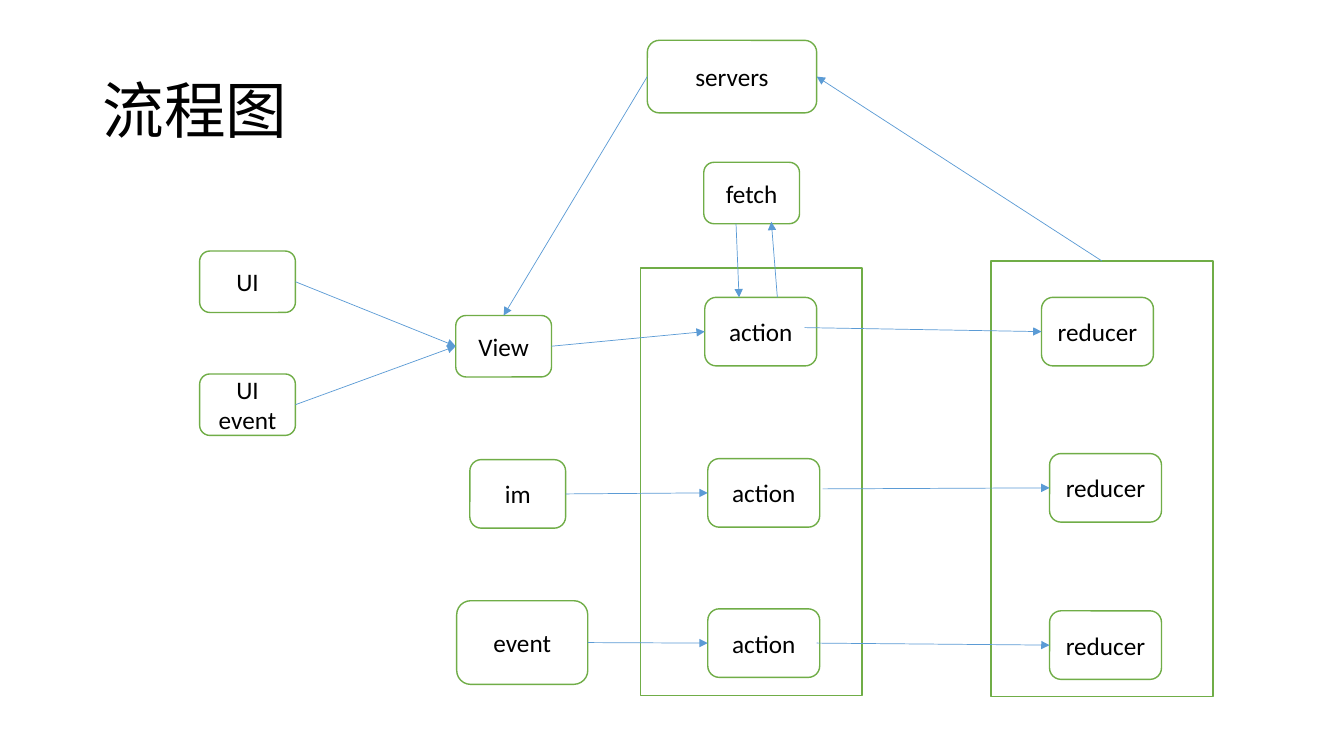
from dataclasses import dataclass

from lxml.etree import SubElement
from pptx import Presentation
from pptx.dml.color import RGBColor
from pptx.enum.shapes import MSO_CONNECTOR, MSO_SHAPE
from pptx.enum.text import MSO_ANCHOR, PP_ALIGN
from pptx.oxml.ns import qn
from pptx.util import Emu, Pt


@dataclass(frozen=True)
class Theme:
    font: str = "Calibri"
    ink: RGBColor = RGBColor(0x00, 0x00, 0x00)
    paper: RGBColor = RGBColor(0xFF, 0xFF, 0xFF)
    outline: RGBColor = RGBColor(0x70, 0xAD, 0x47)
    arrow: RGBColor = RGBColor(0x5B, 0x9B, 0xD5)
    title_size: Pt = Pt(44)
    label_size: Pt = Pt(18)
    outline_width: Pt = Pt(1)
    arrow_width: Pt = Pt(0.5)


theme = Theme()
PX = 9144
TOP, LEFT, BOTTOM, RIGHT = range(4)


def px(*lengths):
    return [Emu(length * PX) for length in lengths]


def add_span(para, text, size):
    span = para.add_run()
    span.text = text
    span.font.name = theme.font
    span.font.size = size
    span.font.color.rgb = theme.ink


deck = Presentation()
deck.slide_width, deck.slide_height = px(1333, 750)
page = deck.slides.add_slide(deck.slide_layouts[6])

title = page.shapes.add_textbox(*px(92, 40, 1150, 145))
title.text_frame.word_wrap = True
title.text_frame.vertical_anchor = MSO_ANCHOR.MIDDLE
title_para = title.text_frame.paragraphs[0]
title_para.line_spacing = 0.9
add_span(title_para, "流程图", theme.title_size)

boxes = [
    ("action frame", [], 635, 266, 220, 424),
    ("reducer frame", [], 983, 259, 220, 432),
    ("ui", ["UI"], 198, 249, 95, 61),
    ("ui event", ["UI", "event"], 198, 371, 95, 61),
    ("view", ["View"], 452, 313, 95, 61),
    ("im", ["im"], 466, 456, 95, 68),
    ("event", ["event"], 453, 596, 130, 83),
    ("view action", ["action"], 699, 295, 111, 68),
    ("im action", ["action"], 702, 455, 111, 68),
    ("event action", ["action"], 702, 604, 111, 68),
    ("view reducer", ["reducer"], 1033, 295, 111, 68),
    ("im reducer", ["reducer"], 1041, 450, 111, 68),
    ("event reducer", ["reducer"], 1041, 606, 111, 68),
    ("fetch", ["fetch"], 698, 161, 95, 61),
    ("servers", ["servers"], 642, 40, 168, 72),
]
nodes = {}
for name, lines, *bounds in boxes:
    outline = MSO_SHAPE.ROUNDED_RECTANGLE if lines else MSO_SHAPE.RECTANGLE
    box = page.shapes.add_shape(outline, *px(*bounds))
    box.shadow.inherit = False
    box.fill.solid()
    box.fill.fore_color.rgb = theme.paper
    box.line.color.rgb = theme.outline
    box.line.width = theme.outline_width
    nodes[name] = box
    for index, line in enumerate(lines):
        frame = box.text_frame
        frame.word_wrap = True
        frame.vertical_anchor = MSO_ANCHOR.MIDDLE
        para = frame.add_paragraph() if index else frame.paragraphs[0]
        para.alignment = PP_ALIGN.CENTER
        add_span(para, line, theme.label_size)

arrows = [
    (("ui", RIGHT), ("view", LEFT)),
    (("ui event", RIGHT), ("view", LEFT)),
    (("view", RIGHT), ("view action", LEFT)),
    ((798, 325), ("view reducer", LEFT)),
    (("im", RIGHT), ("im action", LEFT)),
    ((816, 485), ("im reducer", LEFT)),
    (("event", RIGHT), ("event action", LEFT)),
    ((810, 638), ("event reducer", LEFT)),
    ((771, 295), (765, 220)),
    ((730, 222), (733, 295)),
    (("reducer frame", TOP), ("servers", RIGHT)),
    (("servers", LEFT), ("view", TOP)),
]
for start, end in arrows:
    start_joined, end_joined = start[0] in nodes, end[0] in nodes
    start_point = (640, 360) if start_joined else start
    end_point = (700, 400) if end_joined else end
    arrow = page.shapes.add_connector(
        MSO_CONNECTOR.STRAIGHT, *px(*start_point, *end_point)
    )
    if start_joined:
        arrow.begin_connect(nodes[start[0]], start[1])
    if end_joined:
        arrow.end_connect(nodes[end[0]], end[1])
    arrow.line.color.rgb = theme.arrow
    arrow.line.width = theme.arrow_width
    SubElement(arrow.line._get_or_add_ln(), qn("a:tailEnd"), type="triangle")
    SubElement(arrow._element.spPr, qn("a:effectLst"))

deck.save("out.pptx")
